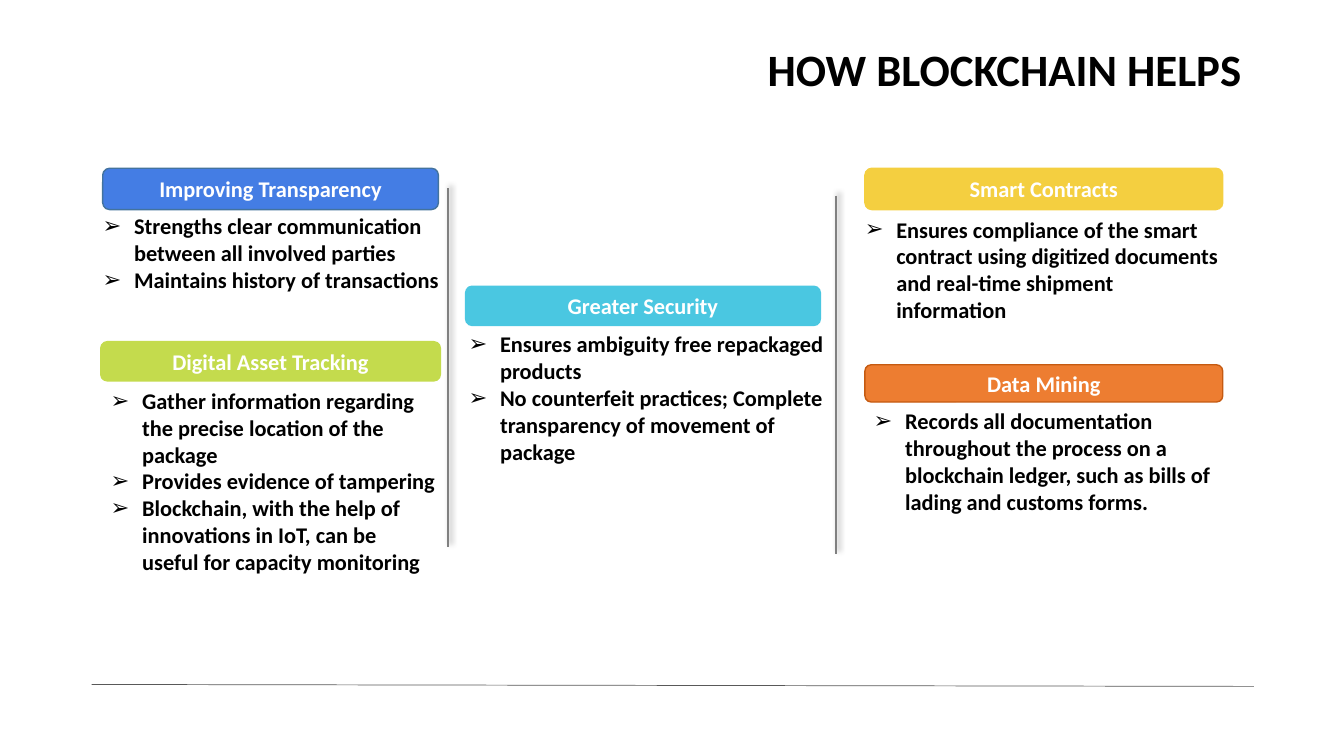
from lxml.etree import SubElement as Sub
from pptx import Presentation
from pptx.dml.color import RGBColor
from pptx.enum.shapes import MSO_CONNECTOR as Conn, MSO_SHAPE as Shape
from pptx.enum.text import MSO_ANCHOR as Anchor, MSO_AUTO_SIZE as Fit, PP_ALIGN as Align
from pptx.oxml.ns import qn
from pptx.util import Pt

BLACK = RGBColor(0x00, 0x00, 0x00)
WHITE = RGBColor(0xFF, 0xFF, 0xFF)
GREY = RGBColor(0x80, 0x80, 0x80)
DARK = RGBColor(0x59, 0x59, 0x59)
BLUE = RGBColor(0x44, 0x7D, 0xE4)
NAVY = RGBColor(0x43, 0x73, 0x9E)
CYAN = RGBColor(0x4A, 0xC7, 0xE1)
LIME = RGBColor(0xC4, 0xDB, 0x4D)
GOLD = RGBColor(0xF4, 0xCF, 0x40)
ORANGE = RGBColor(0xED, 0x7D, 0x31)
RUST = RGBColor(0xC5, 0x5A, 0x11)

# heading, fill, outline, heading box, list box, list items
TOPICS = [
    ("Improving Transparency", BLUE, NAVY,
     (73.4, 120.2, 239.8, 29.5), (66.2, 148.3, 260.6, 82),
     ["Strengths clear communication between all involved parties",
      "Maintains history of transactions"]),
    ("Greater Security", CYAN, CYAN,
     (332.6, 204.5, 253.4, 28), (327.6, 232.6, 282.2, 124.5),
     ["Ensures ambiguity free repackaged products",
      "No counterfeit practices; Complete transparency of movement of package"]),
    ("Digital Asset Tracking", LIME, LIME,
     (72, 244.1, 242.6, 28), (72, 272.9, 247.7, 177),
     ["Gather information regarding the precise location of the package",
      "Provides evidence of tampering",
      "Blockchain, with the help of innovations in IoT, can be useful for "
      "capacity monitoring"]),
    ("Smart Contracts", GOLD, GOLD,
     (617.8, 120.2, 255.6, 29.5), (610.6, 150.5, 267.8, 101.5),
     ["Ensures compliance of the smart contract using digitized documents "
      "and real-time shipment information"]),
    ("Data Mining", ORANGE, RUST,
     (617.8, 260.6, 255.6, 26.6), (617, 287.3, 270.7, 135.4),
     ["Records all documentation throughout the process on a blockchain "
      "ledger, such as bills of lading and customs forms."]),
]


def pts(vals):
    return [Pt(v) for v in vals]


def write(para, text, size=16, color=BLACK, align=Align.LEFT):
    para.alignment = align
    run = para.add_run()
    run.text = text
    font = run.font
    font.name, font.size, font.bold = "Calibri", Pt(size), True
    font.color.rgb = color


def add_title(slide, text):
    title = slide.shapes.title
    title.left, title.top, title.width, title.height = pts((66.2, 28.1, 828, 46.8))
    frame = title.text_frame
    frame.auto_size = Fit.NONE
    frame.vertical_anchor = Anchor.MIDDLE
    para = frame.paragraphs[0]
    para.line_spacing = 0.9
    write(para, text, size=32, align=Align.RIGHT)


def add_head(slide, text, fill, edge, box):
    head = slide.shapes.add_shape(Shape.ROUNDED_RECTANGLE, *pts(box))
    head.shadow.inherit = False
    head.fill.solid()
    head.fill.fore_color.rgb = fill
    head.line.color.rgb = edge
    head.line.width = Pt(1)
    frame = head.text_frame
    frame.vertical_anchor = Anchor.MIDDLE
    write(frame.paragraphs[0], text, color=WHITE, align=Align.CENTER)


def add_list(slide, items, box):
    frame = slide.shapes.add_textbox(*pts(box)).text_frame
    frame.word_wrap = True
    frame.auto_size = Fit.SHAPE_TO_FIT_TEXT
    for i, item in enumerate(items):
        para = frame.add_paragraph() if i else frame.paragraphs[0]
        write(para, item)
        props = para._p.get_or_add_pPr()
        props.set("marL", str(Pt(22.5)))
        props.set("indent", str(Pt(-22.5)))
        Sub(props, qn("a:buFont"), typeface="Arial")
        Sub(props, qn("a:buChar"), char="➢")


def add_line(slide, ends, color, width, shade=False):
    """Draw a straight line, with a soft shadow up and to the right if shade."""
    line = slide.shapes.add_connector(Conn.STRAIGHT, *pts(ends))
    line.line.color.rgb = color
    line.line.width = Pt(width)
    effects = Sub(line._element.spPr, qn("a:effectLst"))
    if shade:
        shadow = Sub(effects, qn("a:outerShdw"), blurRad=str(Pt(4)),
                     dist=str(Pt(3)), dir=str(315 * 60000),
                     algn="bl", rotWithShape="0")
        tint = Sub(shadow, qn("a:srgbClr"), val=str(BLACK))
        Sub(tint, qn("a:alpha"), val="40000")


def main():
    deck = Presentation()
    deck.slide_width, deck.slide_height = Pt(960), Pt(540)
    slide = deck.slides.add_slide(deck.slide_layouts[5])
    add_line(slide, (65.5, 488.9, 895.7, 490.3), DARK, 0.5)
    add_title(slide, "HOW BLOCKCHAIN HELPS")
    for text, fill, edge, spot, area, items in TOPICS:
        add_head(slide, text, fill, edge, spot)
        add_list(slide, items, area)
    for x, top in ((319.7, 134.6), (596.9, 139.7)):
        add_line(slide, (x, top, x, top + 256), GREY, 1.5, shade=True)
    deck.save("out.pptx")


if __name__ == "__main__":
    main()
